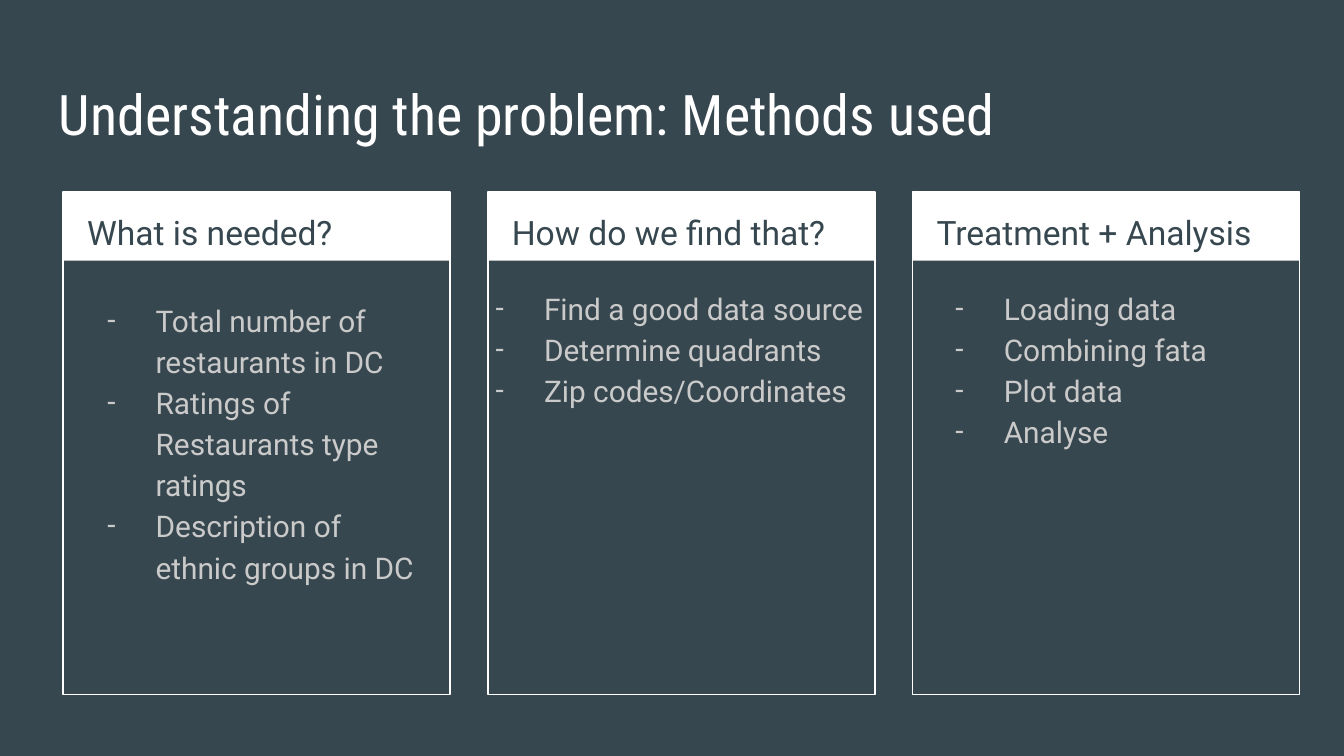
from pptx import Presentation
from pptx.dml.color import RGBColor
from pptx.enum.shapes import MSO_SHAPE
from pptx.enum.text import MSO_ANCHOR
from pptx.oxml.ns import qn
from pptx.util import Inches, Pt
from lxml import etree

RECT = MSO_SHAPE.RECTANGLE
TOP = MSO_ANCHOR.TOP

COLORS = {"slate": "37474F", "white": "FFFFFF", "gray": "CACACA"}

# Text formats
TITLE = {"size": Pt(30), "name": "Roboto Condensed", "color": "white"}
HEADING = {"size": Pt(18), "name": "Roboto", "color": "slate"}
ITEM = {"size": Pt(16), "name": "Roboto", "color": "gray"}

# Column grid
LEFT, STEP, CARD_TOP, CARD_W, CARD_H = 0.47, 3.16, 1.43, 2.88, 3.74
HEADER_H = 0.51

# Heading, items, and the list box as (dx, dy, width, height) within its card
CARDS = [
    ("What is needed?",
     ["Total number of restaurants in DC",
      "Ratings of Restaurants type ratings",
      "Description of ethnic groups in DC"],
     (0.09, 0.68, 2.71, 2.97)),
    ("How do we find that?",
     ["Find a good data source", "Determine quadrants", "Zip codes/Coordinates"],
     (-0.18, 0.59, 3.14, 3.06)),
    ("Treatment + Analysis",
     ["Loading data", "Combining fata", "Plot data", "Analyse"],
     (0.08, 0.59, 2.71, 3.06)),
]


def rgb(name):
    return RGBColor.from_string(COLORS[name])


def add_bullet(p):
    pPr = p._p.get_or_add_pPr()
    pPr.set("marL", str(Inches(0.5)))
    pPr.set("indent", str(Inches(-0.36)))
    clr = etree.SubElement(pPr, qn("a:buClr"))
    etree.SubElement(clr, qn("a:srgbClr"), val=COLORS["gray"])
    etree.SubElement(pPr, qn("a:buFont"), typeface="Roboto")
    etree.SubElement(pPr, qn("a:buChar"), char="-")


def add_text(s, box, lines, fmt, spacing=None, bullets=False):
    tf = s.shapes.add_textbox(*map(Inches, box)).text_frame
    tf.word_wrap = True
    tf.vertical_anchor = TOP
    for side in ("left", "top", "right", "bottom"):
        setattr(tf, f"margin_{side}", Inches(0.1))
    for i, line in enumerate(lines):
        p = tf.paragraphs[0] if i == 0 else tf.add_paragraph()
        if spacing:
            p.line_spacing = spacing
        if bullets:
            add_bullet(p)
        r = p.add_run()
        r.text = line
        for key, value in fmt.items():
            if key == "color":
                r.font.color.rgb = rgb(value)
            else:
                setattr(r.font, key, value)


def add_rect(s, box, fill=None, line=None):
    sp = s.shapes.add_shape(RECT, *map(Inches, box))
    sp.shadow.inherit = False
    if fill:
        sp.fill.solid()
        sp.fill.fore_color.rgb = rgb(fill)
    else:
        sp.fill.background()
    if line:
        sp.line.color.rgb = rgb(line)
        sp.line.width = Pt(0.75)
    else:
        sp.line.fill.background()


def add_card(s, box, heading, items, list_box):
    x, y, w, h = box
    dx, dy, list_w, list_h = list_box
    # Header band and frame
    add_rect(s, (x, y, w, HEADER_H), fill="white")
    add_rect(s, box, line="white")
    # Heading and list
    add_text(s, (x + 0.08, y, w - 0.15, 0.5), [heading], HEADING, 1.15)
    add_text(s, (x + dx, y + dy, list_w, list_h), items, ITEM, 1.15, bullets=True)


def main():
    prs = Presentation()
    # Widescreen 16:9
    prs.slide_width = Inches(10)
    prs.slide_height = Inches(10) * 9 // 16
    s = prs.slides.add_slide(prs.slide_layouts[6])
    s.background.fill.solid()
    s.background.fill.fore_color.rgb = rgb("slate")

    add_text(s, (0.34, 0.49, 9.32, 0.63),
             ["Understanding the problem: Methods used"], TITLE)
    for i, (heading, items, list_box) in enumerate(CARDS):
        add_card(s, (LEFT + i * STEP, CARD_TOP, CARD_W, CARD_H),
                 heading, items, list_box)

    prs.save("out.pptx")


if __name__ == "__main__":
    main()
